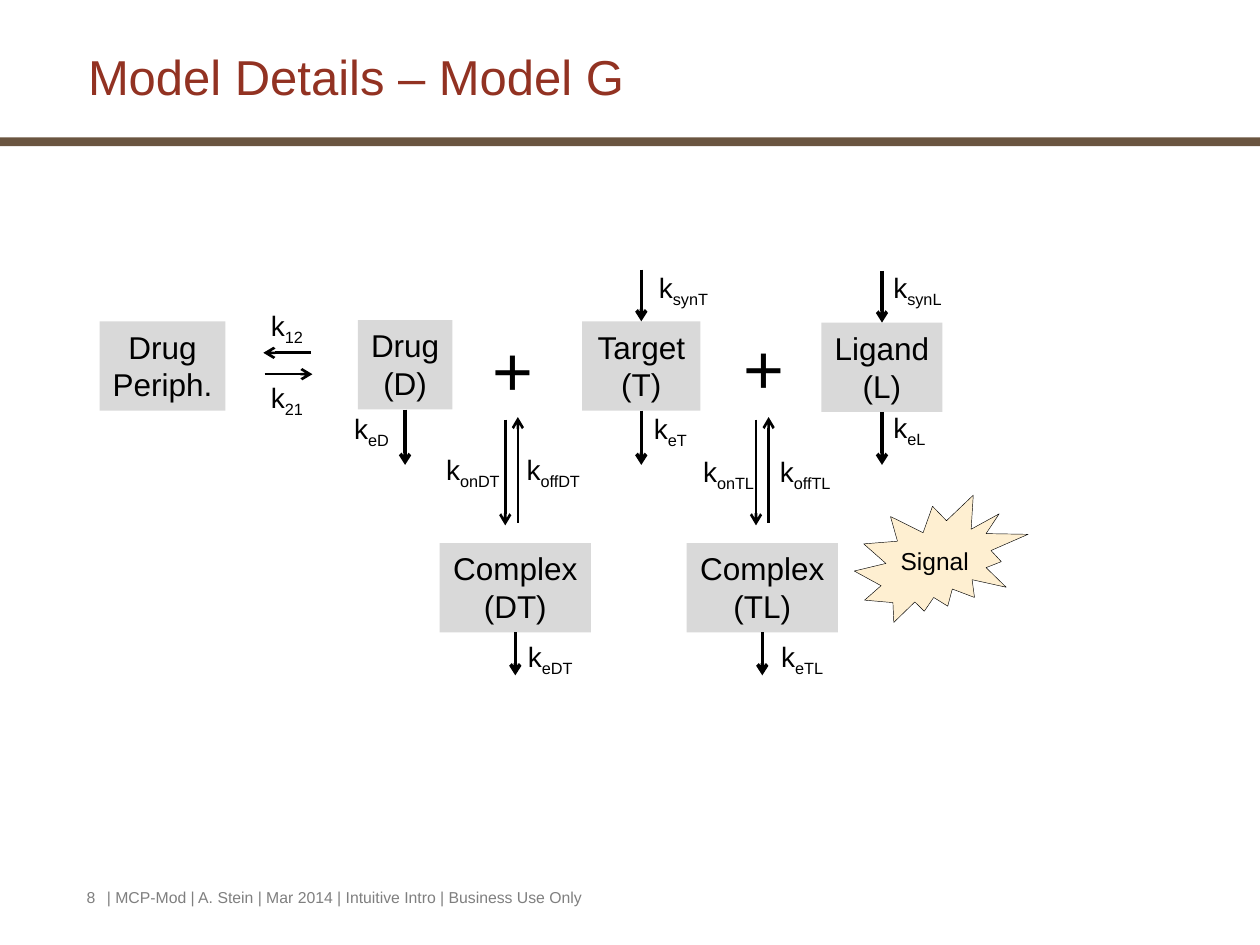
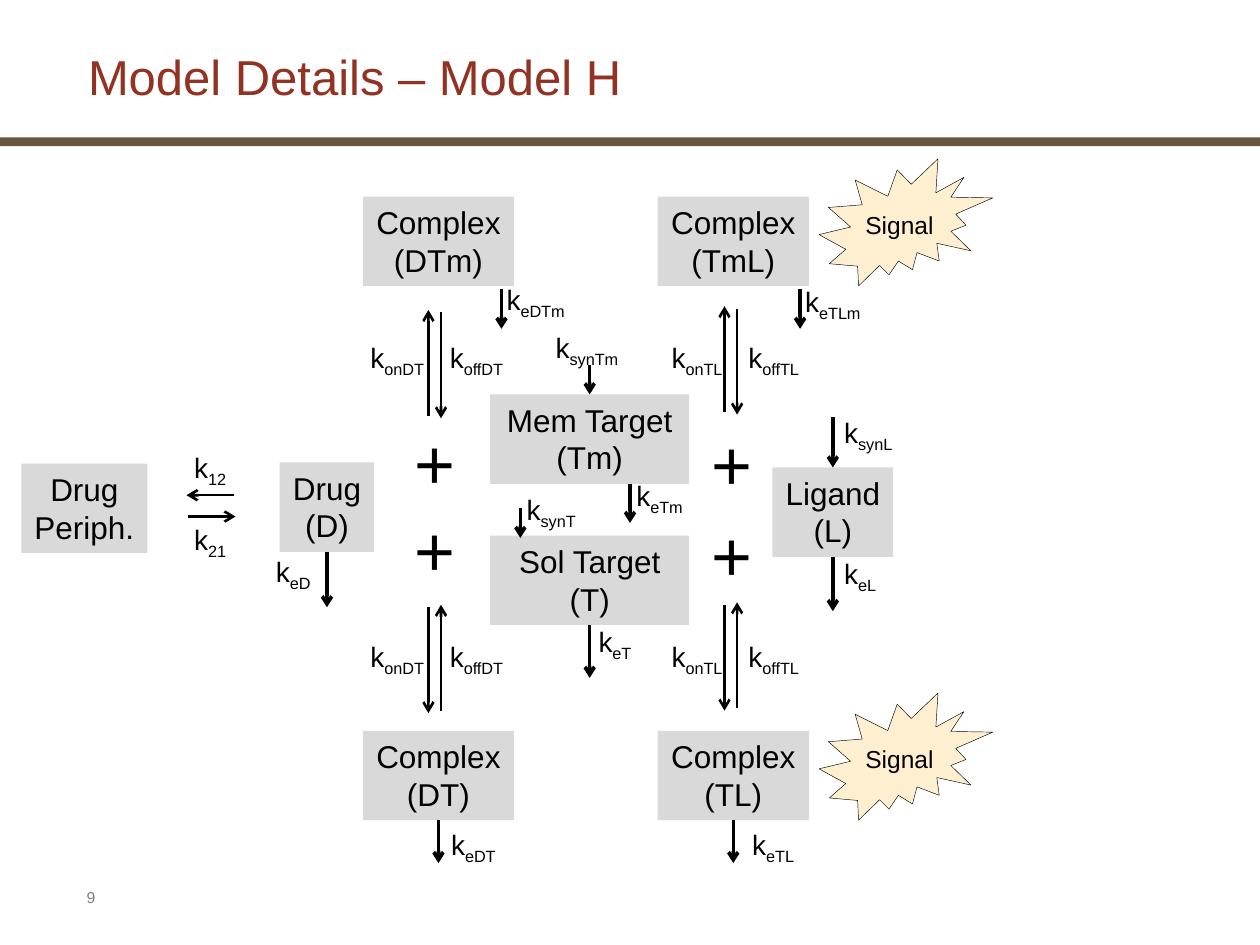
from lxml.etree import SubElement
from pptx import Presentation
from pptx.dml.color import RGBColor
from pptx.enum.shapes import MSO_CONNECTOR, MSO_SHAPE
from pptx.enum.text import MSO_ANCHOR, PP_ALIGN
from pptx.oxml.ns import qn
from pptx.util import Inches, Pt

INK = {"title": "923222", "band": "6A5540", "foot": "7F7F7F",
       "box": "D9D9D9", "seal": "FEEFD1", "text": "000000"}
FLAT = {"margin_left": 0, "margin_right": 0, "margin_top": 0, "margin_bottom": 0}
MID = {"vertical_anchor": MSO_ANCHOR.MIDDLE}
HIGH = 0.71


def write(shape, lines, size, ink="text", align=PP_ALIGN.LEFT, form={}):
    frame = shape.text_frame
    for key, value in ({"word_wrap": True, "vertical_anchor": MSO_ANCHOR.TOP} | form).items():
        setattr(frame, key, value)
    for i, line in enumerate(lines):
        para = frame.add_paragraph() if i else frame.paragraphs[0]
        para.alignment = align
        for j, part in enumerate(line.split("_")):
            run = para.add_run()
            run.text = part
            font = run.font
            for key, value in {"name": "Arial", "size": Pt(size)}.items():
                setattr(font, key, value)
            font.color.rgb = RGBColor.from_string(INK[ink])
            if j:
                font._element.set("baseline", "-25000")
    return frame


def arrow(slide, x1, y1, x2, y2, width):
    line = slide.shapes.add_connector(
        MSO_CONNECTOR.STRAIGHT, Inches(x1), Inches(y1), Inches(x2), Inches(y2))
    line.line.width = Pt(width)
    line.line.color.rgb = RGBColor.from_string(INK["text"])
    SubElement(line.line._get_or_add_ln(), qn("a:tailEnd"), type="arrow")
    SubElement(line._element.spPr, qn("a:effectLst"))
    return line


models = [
    {
        "name": "G", "page": "8",
        "foot": "| MCP-Mod | A. Stein | Mar 2014 | Intuitive Intro | Business Use Only",
        "boxes": [("Drug", "Periph.", 0.79, 2.55, 1), ("Drug", "(D)", 2.84, 2.54, 0.75),
                  ("Target", "(T)", 4.62, 2.55, 0.94), ("Ligand", "(L)", 6.52, 2.56, 0.96),
                  ("Complex", "(DT)", 3.49, 4.31, 1.2), ("Complex", "(TL)", 5.45, 4.31, 1.2)],
        "plus": [(3.81, 2.54), (5.8, 2.53)],
        "seals": [(6.78, 3.93)],
        "swap": (2.09, 2.45),
        "pairs": [(4.01, 3.31, "down"), (6, 3.31, "down")],
        "flows": [(5.1, 2.14, 2.55), (6.98, 2.15, 2.56), (3.2, 3.28, 3.69),
                  (5.1, 3.28, 3.69), (6.98, 3.28, 3.69), (4.09, 5.04, 5.36),
                  (6.07, 5.04, 5.36)],
        "rates": [("synT", 5.23, 2.15), ("synL", 7.09, 2.15), ("eD", 2.81, 3.27),
                  ("eT", 5.19, 3.27), ("eL", 7.09, 3.26), ("eDT", 4.19, 5.08),
                  ("eTL", 6.2, 5.08), ("onDT", 3.54, 3.59), ("offDT", 4.18, 3.59),
                  ("onTL", 5.58, 3.61), ("offTL", 6.19, 3.61)],
    },
    {
        "name": "H", "page": "9", "foot": "",
        "boxes": [("Drug", "Periph.", 0.17, 3.68, 1), ("Drug", "(D)", 2.22, 3.67, 0.75),
                  ("Mem Target", "(Tm)", 3.89, 3.13, 1.58),
                  ("Sol Target", "(T)", 3.89, 4.25, 1.58), ("Ligand", "(L)", 6.13, 3.71, 0.96),
                  ("Complex", "(DTm)", 2.88, 1.56, 1.2), ("Complex", "(TmL)", 5.22, 1.56, 1.2),
                  ("Complex", "(DT)", 2.88, 5.8, 1.2), ("Complex", "(TL)", 5.22, 5.8, 1.2)],
        "plus": [(3.19, 3.28), (3.19, 3.97), (5.55, 3.29), (5.55, 4.01)],
        "seals": [(6.5, 1.26), (6.5, 5.5)],
        "swap": (1.48, 3.58),
        "pairs": [(3.4, 2.46, "up"), (5.75, 2.43, "up"),
                  (3.4, 4.8, "down"), (5.75, 4.78, "down")],
        "flows": [(3.98, 2.29, 2.61), (6.35, 2.29, 2.61), (4.7, 2.9, 3.14),
                  (5, 3.84, 4.15), (4.13, 4.03, 4.27), (4.65, 4.97, 5.38),
                  (6.59, 3.31, 3.71), (6.59, 4.44, 4.85), (2.58, 4.42, 4.82),
                  (3.48, 6.53, 6.85), (5.84, 6.53, 6.85)],
        "rates": [("eDTm", 4.02, 2.24), ("eTLm", 6.39, 2.26), ("synTm", 4.41, 2.62),
                  ("eTm", 5.05, 3.8), ("synT", 4.18, 3.91), ("eT", 4.75, 4.96),
                  ("synL", 6.7, 3.3), ("eL", 6.7, 4.42), ("eD", 2.19, 4.4),
                  ("eDT", 3.58, 6.57), ("eTL", 5.97, 6.57)]
                 + [(rate, x, y) for y in (2.7, 5.08) for rate, x in
                    (("onDT", 2.94), ("offDT", 3.57), ("onTL", 5.33), ("offTL", 5.94))],
    },
]

deck = Presentation()
deck.slide_width, deck.slide_height = Inches(10), Inches(7.5)

for model in models:
    slide = deck.slides.add_slide(deck.slide_layouts[6])
    shapes = slide.shapes

    band = shapes.add_shape(MSO_SHAPE.RECTANGLE, 0, Inches(1.09), Inches(10), Inches(0.07))
    band.shadow.inherit = False
    band.fill.solid()
    band.fill.fore_color.rgb = RGBColor.from_string(INK["band"])
    band.line.fill.background()

    title = shapes.add_textbox(Inches(0.6), Inches(0.35), Inches(9.11), Inches(0.55))
    frame = write(title, [f"Model Details – Model {model['name']}"], 28, "title", form=MID)
    frame.paragraphs[0].line_spacing = 0.95

    for text, x, width in ((model["page"], 0.59, 0.44), (model["foot"], 0.75, 7.08)):
        if text:
            foot = shapes.add_textbox(Inches(x), Inches(7), Inches(width), Inches(0.27))
            write(foot, [text], 9, "foot")

    boxes = []
    for name, code, x, y, width in model["boxes"]:
        box = shapes.add_shape(
            MSO_SHAPE.RECTANGLE, Inches(x), Inches(y), Inches(width), Inches(HIGH))
        box.shadow.inherit = False
        box.fill.solid()
        box.fill.fore_color.rgb = RGBColor.from_string(INK["box"])
        box.line.fill.background()
        write(box, [name, code], 18, align=PP_ALIGN.CENTER, form={"word_wrap": False})
        boxes.append((box, x + width / 2, y))

    for x, y in model["plus"]:
        plus = shapes.add_textbox(Inches(x), Inches(y), Inches(0.53), Inches(0.77))
        write(plus, ["+"], 40, form={"word_wrap": False})

    for x, y in model["seals"]:
        seal = shapes.add_shape(
            MSO_SHAPE.EXPLOSION2, Inches(x), Inches(y), Inches(1.38), Inches(1.01))
        seal.shadow.inherit = False
        seal.fill.solid()
        seal.fill.fore_color.rgb = RGBColor.from_string(INK["seal"])
        seal.line.color.rgb = RGBColor.from_string(INK["text"])
        seal.line.width = Pt(0.25)
        write(seal, ["Signal"], 14, align=PP_ALIGN.CENTER, form=FLAT | MID)

    for x, y1, y2 in model["flows"]:
        near = [item for item in boxes if abs(item[1] - x) < 0.04]
        into = [item for item in near if abs(item[2] - y2) < 0.05]
        out = [item for item in near if abs(item[2] + HIGH - y1) < 0.05]
        for box, mid, top in into + out:
            x = mid
        flow = arrow(slide, x, y1, x, y2, 2)
        for box, mid, top in into:
            flow.end_connect(box, 0)
        for box, mid, top in out:
            flow.begin_connect(box, 2)

    for x, y, way in model["pairs"]:
        down, up = (x, x + 0.1) if way == "down" else (x + 0.1, x)
        arrow(slide, down, y + 0.02, down, y + 0.86, 1.5)
        arrow(slide, up, y + 0.84, up, y, 1.5)

    x, y = model["swap"]
    arrow(slide, x + 0.38, y + 0.35, x, y + 0.35, 1.5)
    arrow(slide, x + 0.01, y + 0.52, x + 0.39, y + 0.52, 1.5)
    swaps = [("12", x + 0.06, y), ("21", x + 0.06, y + 0.57)]

    for rate, x, y in model["rates"] + swaps:
        label = shapes.add_textbox(Inches(x), Inches(y), Inches(0.72), Inches(0.27))
        write(label, [f"k_{rate}"], 16, form=FLAT)

deck.save("out.pptx")
